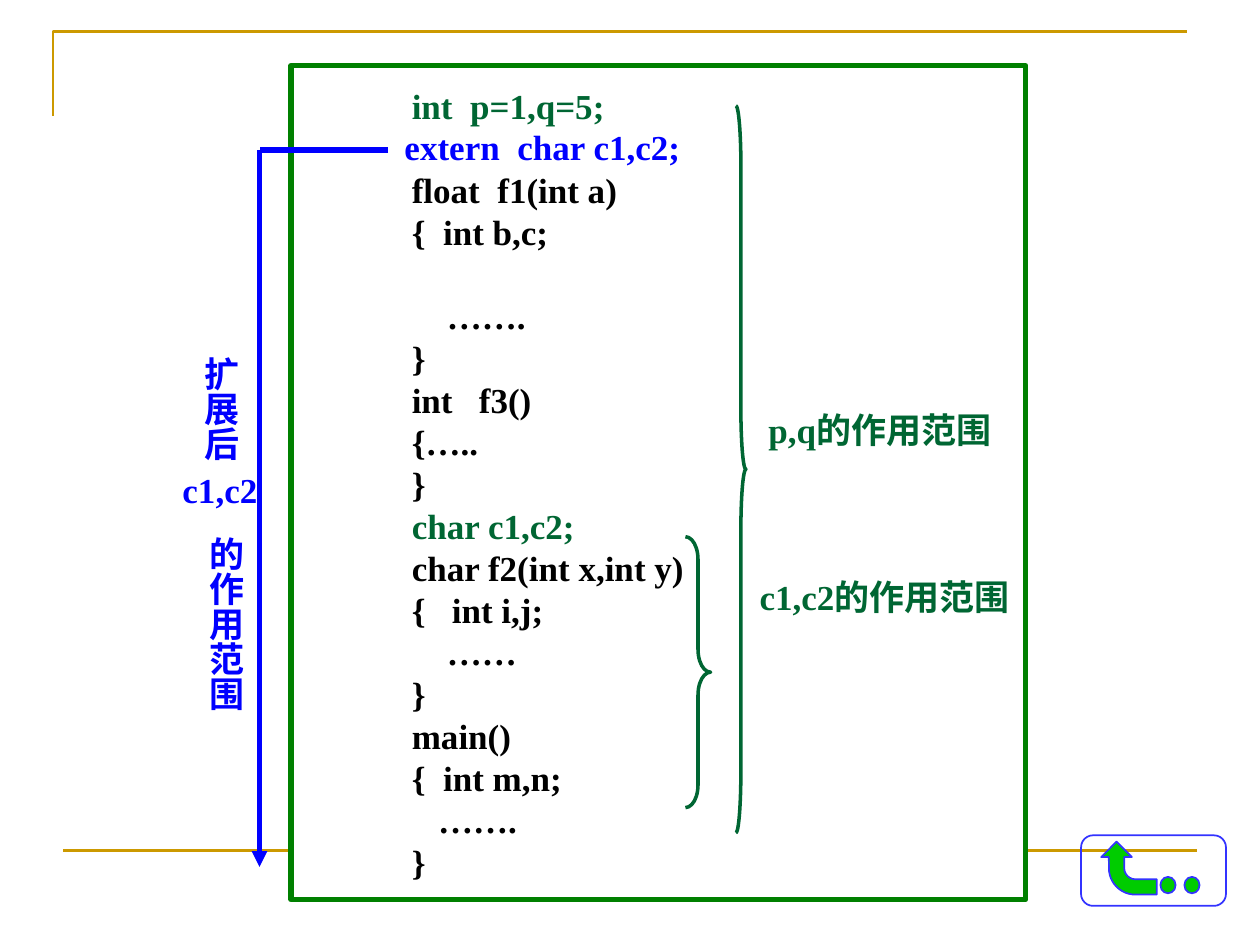
from lxml.etree import SubElement
from pptx import Presentation
from pptx.dml.color import RGBColor
from pptx.enum.shapes import MSO_CONNECTOR, MSO_SHAPE
from pptx.enum.text import PP_ALIGN
from pptx.oxml.ns import qn
from pptx.util import Inches, Pt

THEME = {
    "font": "Times New Roman", "size": Pt(20), "leading": Pt(24),
    "gold": RGBColor(0xCC, 0x99, 0x00), "frame": RGBColor(0x00, 0x80, 0x00),
    "green": RGBColor(0x00, 0x66, 0x33), "blue": RGBColor(0x00, 0x00, 0xFF),
    "button": RGBColor(0x33, 0x33, 0xFF), "icon": RGBColor(0x00, 0xCC, 0x00),
    "black": RGBColor(0x00, 0x00, 0x00), "white": RGBColor(0xFF, 0xFF, 0xFF),
}

deck = Presentation()
deck.slide_width, deck.slide_height = Inches(10), Inches(7.5)
COL, ROW = deck.slide_width / 100, deck.slide_height / 75
slide = deck.slides.add_slide(deck.slide_layouts[6])


def draw_rule(start, end, color, weight):
    rule = slide.shapes.add_connector(
        MSO_CONNECTOR.STRAIGHT, round(start[0] * COL), round(start[1] * ROW),
        round(end[0] * COL), round(end[1] * ROW))
    rule.line.color.rgb = THEME[color]
    rule.line.width = Pt(weight)
    SubElement(rule._element.spPr, qn("a:effectLst"))
    return rule


def write(lines, left, top, width, height, vertical=False, align=PP_ALIGN.LEFT):
    box = slide.shapes.add_textbox(
        round(left * COL), round(top * ROW), round(width * COL), round(height * ROW))
    frame = box.text_frame
    frame.word_wrap = False
    if vertical:
        frame.margin_left = frame.margin_right = Inches(0.05)
        frame.margin_top = frame.margin_bottom = Inches(0.1)
        frame._txBody.bodyPr.set("vert", "eaVert")
    for number, (words, color) in enumerate(lines):
        paragraph = frame.add_paragraph() if number else frame.paragraphs[0]
        paragraph.text = words
        paragraph.alignment = align
        paragraph.font.name = THEME["font"]
        paragraph.font.size = THEME["size"]
        paragraph.font.bold = True
        paragraph.font.color.rgb = THEME[color]
    return frame.paragraphs


corner = slide.shapes.build_freeform(42, 92, scale=(COL / 10, ROW / 10))
corner.add_line_segments([(42, 25), (942, 25)], close=False)
corner_rule = corner.convert_to_shape()
corner_rule.shadow.inherit = False
corner_rule.fill.background()
corner_rule.line.color.rgb = THEME["gold"]
corner_rule.line.width = Pt(1.5)
draw_rule((5, 67.5), (95, 67.5), "gold", 1.5)

outlines = [
    (MSO_SHAPE.RECTANGLE, (23.1, 5.2, 58.3, 66.2), "white", "frame", 3, [], 0),
    (MSO_SHAPE.RIGHT_BRACE, (54.4, 42.6, 2, 21.5), None, "green", 2, [0.9, 0.5], 0),
    (MSO_SHAPE.RIGHT_BRACE, (58.4, 8.4, 0.8, 57.7), None, "green", 2, [6, 0.5], 0),
    (MSO_SHAPE.ROUNDED_RECTANGLE, (85.8, 66.3, 11.5, 5.6), None, "button", 1, [0.17], 0),
    (MSO_SHAPE.BENT_ARROW, (87.5, 66.7, 4.2, 4.4), "icon", "button", 1,
     [0.29, 0.29, 0.29, 0.5], 270),
    (MSO_SHAPE.OVAL, (92.1, 69.6, 1.2, 1.3), "icon", "button", 1, [], 0),
    (MSO_SHAPE.OVAL, (94, 69.6, 1.2, 1.3), "icon", "button", 1, [], 0),
]
for preset, (left, top, width, height), fill, color, weight, bends, turn in outlines:
    outline = slide.shapes.add_shape(
        preset, round(left * COL), round(top * ROW), round(width * COL), round(height * ROW))
    outline.shadow.inherit = False
    if fill:
        outline.fill.solid()
        outline.fill.fore_color.rgb = THEME[fill]
    else:
        outline.fill.background()
    outline.line.color.rgb = THEME[color]
    outline.line.width = Pt(weight)
    outline.rotation = turn
    for index, bend in enumerate(bends):
        outline.adjustments[index] = bend

code = [
    ("int  p=1,q=5;", "green"), ("float  f1(int a)", "black"),
    ("{  int b,c;", "black"), ("…….", "black"), ("}", "black"),
    ("int   f3()", "black"), ("{…..", "black"), ("}", "black"),
    ("char c1,c2;", "green"), ("char f2(int x,int y)", "black"),
    ("{   int i,j;", "black"), ("……", "black"), ("}", "black"),
    ("main()", "black"), ("{  int m,n;", "black"), ("…….", "black"), ("}", "black"),
]
code_lines = write(code, 31.7, 6.2, 24, 64.3)
for code_line in code_lines:
    code_line.line_spacing = THEME["leading"]
for row_after_gap in (1, 3):
    code_lines[row_after_gap].space_before = THEME["leading"]
for row, indent in ((3, 20), (11, 20), (15, 15)):
    code_lines[row]._p.get_or_add_pPr().set("marL", str(Pt(indent)))

write([("c1,c2的作用范围", "green")], 59.3, 45.2, 22.5, 4.4)
write([("p,q的作用范围", "green")], 60, 31.9, 20.4, 4.4)
write([("extern  char c1,c2;", "blue")], 31.1, 9.5, 23.9, 4.4, align=PP_ALIGN.CENTER)

draw_rule((30.8, 11.9), (20.6, 11.9), "blue", 3)
extended_scope = draw_rule((20.6, 11.9), (20.6, 68.8), "blue", 3)
SubElement(extended_scope.line._get_or_add_ln(), qn("a:tailEnd"), type="triangle")
write([("c1,c2", "blue")], 13.5, 36.7, 8.6, 4.4)
write([("的作用范围", "blue")], 14.8, 41.6, 5.3, 14.9, True, PP_ALIGN.CENTER)
write([("扩展后", "blue")], 14.4, 27.3, 5.3, 9.4, True, PP_ALIGN.CENTER)

deck.save("out.pptx")
